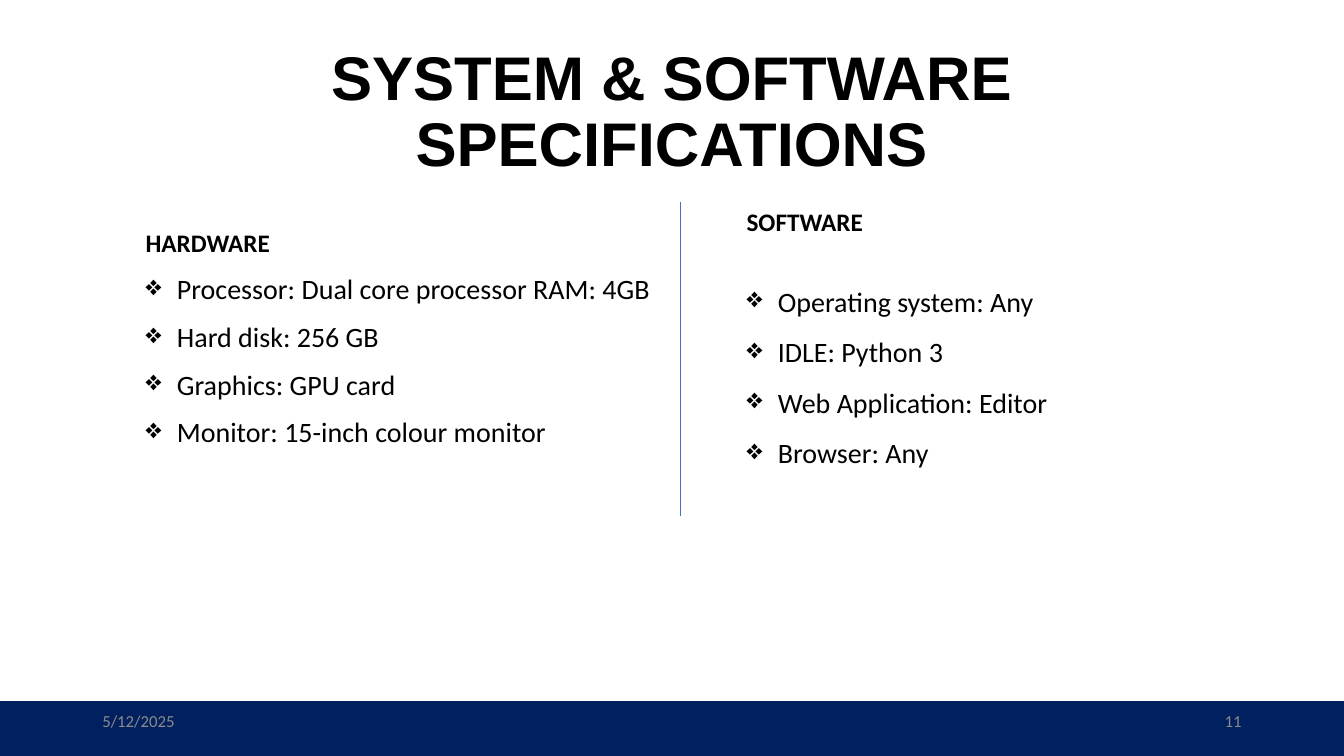
from dataclasses import dataclass

from lxml import etree
from pptx import Presentation
from pptx import util as u
from pptx.dml.color import RGBColor
from pptx.enum import shapes, text
from pptx.oxml import ns

# Grid of 160 columns by 90 rows, twelve cells to the inch
COLUMNS, ROWS = 160, 90
CELL = u.Inches(1 / 12)


@dataclass(frozen=True)
class Theme:
    ink: str = "000000"
    navy: str = "002060"
    rule: str = "4472C4"
    muted: str = "8C8C8C"
    title_font: str = "Arial"
    body_font: str = "Calibri"
    title_size: int = 44
    heading_size: int = 18
    item_size: int = 20
    footer_size: int = 12


THEME = Theme()
HARDWARE = ["Processor: Dual core processor RAM: 4GB", "Hard disk: 256 GB",
            "Graphics: GPU card", "Monitor: 15-inch colour monitor"]
SOFTWARE = ["Operating system: Any", "IDLE: Python 3",
            "Web Application: Editor", "Browser: Any"]


def cells(*counts):
    return [u.Emu(round(count * CELL)) for count in counts]


def apply(target, values):
    for name, value in values.items():
        setattr(target, name, value)


def write(paragraph, words, size, font=THEME.body_font, color=THEME.ink,
          bold=False, **layout):
    run = paragraph.add_run()
    run.text = words
    apply(run.font, {"size": u.Pt(size), "name": font, "bold": bold})
    run.font.color.rgb = RGBColor.from_string(color)
    apply(paragraph, layout)


def indent(paragraph, left, first, bullet=None):
    properties = paragraph._p.get_or_add_pPr()
    properties.set("marL", str(u.Inches(left)))
    properties.set("indent", str(u.Inches(first)))
    if bullet:
        etree.SubElement(properties, ns.qn("a:buChar")).set("char", bullet)


def add_text_frame(slide, area, anchor=text.MSO_ANCHOR.TOP):
    frame = slide.shapes.add_textbox(*cells(*area)).text_frame
    apply(frame, {"word_wrap": True, "vertical_anchor": anchor})
    return frame


def add_title(slide, words, area):
    title = slide.shapes.title
    apply(title, dict(zip(("left", "top", "width", "height"), cells(*area))))
    apply(title.text_frame, {"word_wrap": True,
                             "auto_size": text.MSO_AUTO_SIZE.NONE,
                             "vertical_anchor": text.MSO_ANCHOR.MIDDLE})
    write(title.text_frame.paragraphs[0], words, THEME.title_size,
          THEME.title_font, bold=True, line_spacing=0.9,
          alignment=text.PP_ALIGN.CENTER)


def add_spec_list(slide, area, heading, items, margin, heading_layout,
                  item_layout, first_gap):
    frame = add_text_frame(slide, area)
    head = frame.paragraphs[0]
    write(head, heading, THEME.heading_size, bold=True, **heading_layout)
    if margin:
        indent(head, margin - 0.06, -0.25)
    for number, item in enumerate(items):
        line = frame.add_paragraph()
        write(line, item, THEME.item_size, **item_layout)
        if number == 0:
            line.space_before = first_gap
        indent(line, margin or 0.31, -0.31, "❖")


def add_footer_bar(slide):
    bar = slide.shapes.add_shape(shapes.MSO_SHAPE.RECTANGLE,
                                 *cells(0, 83.5, COLUMNS, ROWS - 83.5))
    bar.shadow.inherit = False
    bar.fill.solid()
    bar.fill.fore_color.rgb = RGBColor.from_string(THEME.navy)
    bar.line.color.rgb = RGBColor.from_string(THEME.navy)
    bar.line.width = u.Pt(1)


def add_footer_text(slide, words, left, alignment):
    frame = add_text_frame(slide, (left, 83.4, 36, 4.8),
                           text.MSO_ANCHOR.MIDDLE)
    write(frame.paragraphs[0], words, THEME.footer_size, color=THEME.muted,
          alignment=alignment)


def add_divider(slide, column, top, bottom):
    divider = slide.shapes.add_connector(
        shapes.MSO_CONNECTOR.STRAIGHT, *cells(column, top, column, bottom))
    divider.line.color.rgb = RGBColor.from_string(THEME.rule)
    divider.line.width = u.Pt(0.5)
    etree.SubElement(divider._element.spPr, ns.qn("a:effectLst"))


def main():
    deck = Presentation()
    deck.slide_width, deck.slide_height = cells(COLUMNS, ROWS)
    slide = deck.slides.add_slide(deck.slide_layouts[5])

    # Footer bar and title
    add_footer_bar(slide)
    add_title(slide, "SYSTEM & SOFTWARE SPECIFICATIONS", (11, 4.8, 138, 17.4))

    # Hardware on the left, software on the right
    gap = u.Pt(10)
    add_spec_list(slide, (11, 24, 138, 57), "HARDWARE", HARDWARE, 0.74,
                  {"line_spacing": 1.7, "space_before": gap},
                  {"space_before": gap}, gap)
    add_divider(slide, 81, 24, 61.4)
    add_spec_list(slide, (87.7, 24, 58, 43.7), "SOFTWARE", SOFTWARE, 0,
                  {}, {"line_spacing": 1.5}, u.Pt(22))

    # Date and slide number
    add_footer_text(slide, "5/12/2025", 11, text.PP_ALIGN.LEFT)
    add_footer_text(slide, "11", 113, text.PP_ALIGN.RIGHT)
    deck.save("out.pptx")


if __name__ == "__main__":
    main()
